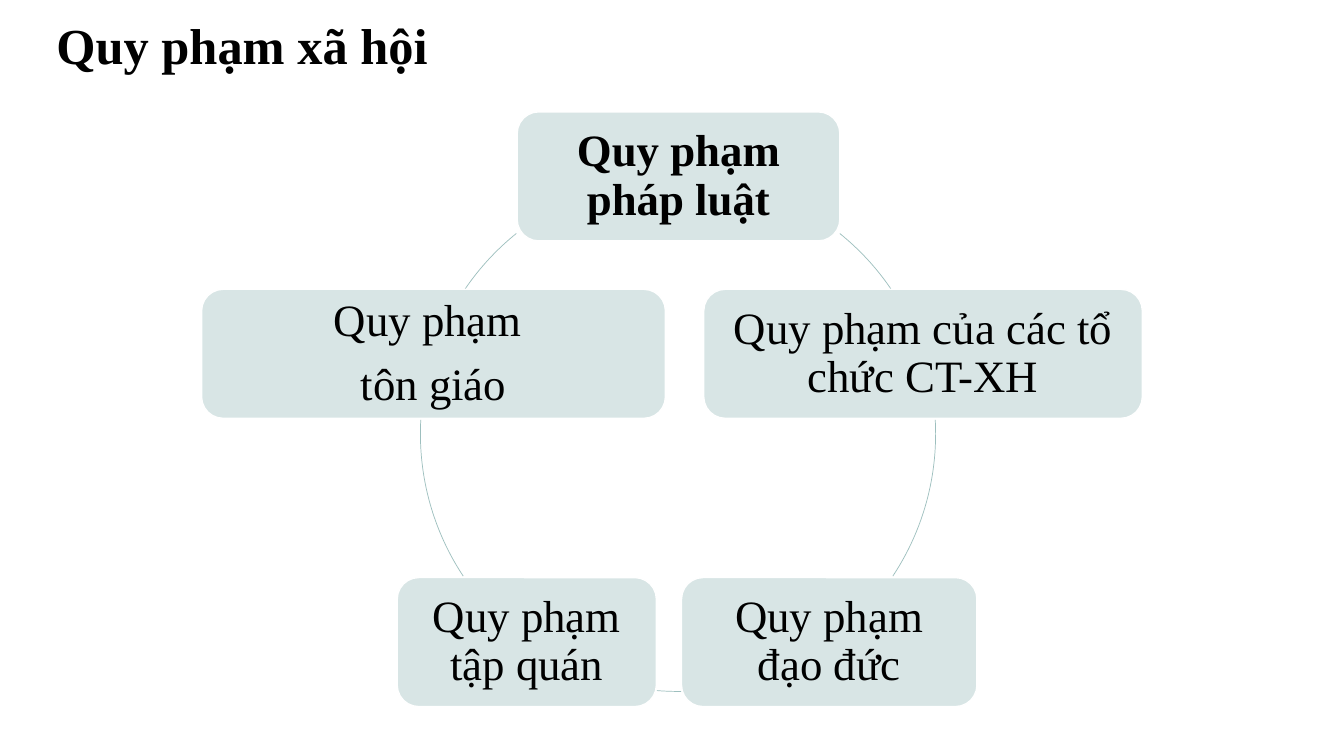
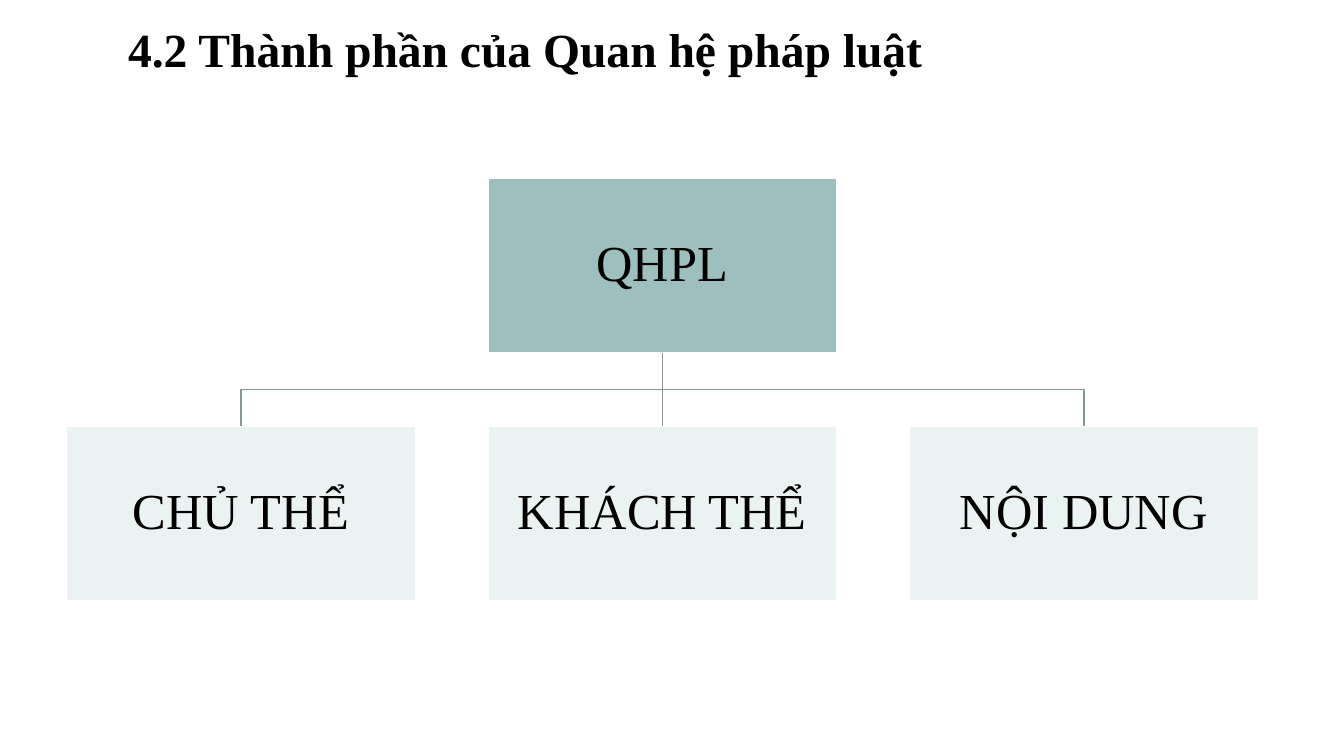
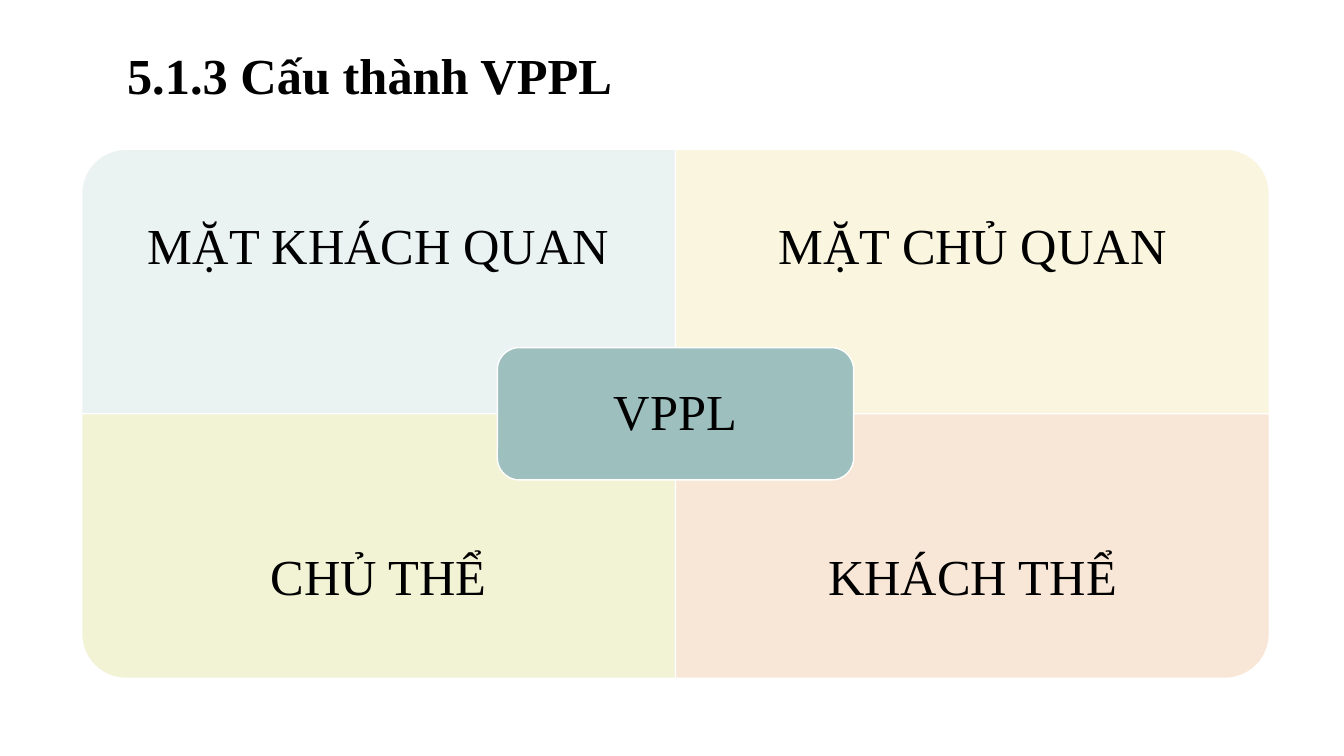
import pptx
import pptx.dml.color
import pptx.enum.shapes
import pptx.enum.text
import pptx.oxml.ns
import pptx.util
from lxml import etree

Inches = pptx.util.Inches
Pt = pptx.util.Pt
Shape = pptx.enum.shapes.MSO_SHAPE
Connector = pptx.enum.shapes.MSO_CONNECTOR
Align = pptx.enum.text.PP_ALIGN
Anchor = pptx.enum.text.MSO_ANCHOR

FONT = "Times New Roman"
BLACK = "000000"
WHITE = "FFFFFF"
TEAL = "9DBFBE"
PALE_TEAL = "EBF2F2"
NORM_FILL = "D8E5E5"
TREE_LINE = "7E9998"
LINE_SPACING = 0.9
SPACE_AFTER = 0.35


def color(value):
    return pptx.dml.color.RGBColor.from_string(value)


def apply(target, values):
    for name, value in values.items():
        setattr(target, name, value)


def place(box):
    return [Inches(value) for value in box]


def move(shape, box):
    apply(shape, dict(zip(("left", "top", "width", "height"), place(box))))


def paint(shape, fill):
    shape.fill.solid()
    shape.fill.fore_color.rgb = color(fill)


def write(shape, lines, size, bold=False, align=Align.CENTER, inset=None):
    frame = shape.text_frame
    apply(frame, {
        "word_wrap": True,
        "auto_size": pptx.enum.text.MSO_AUTO_SIZE.NONE,
        "vertical_anchor": Anchor.MIDDLE,
    })
    if inset is not None:
        sides = ("left", "top", "right", "bottom")
        apply(frame, {f"margin_{side}": Inches(inset) for side in sides})
    for index, line in enumerate(lines):
        paragraph = frame.add_paragraph() if index else frame.paragraphs[0]
        apply(paragraph, {
            "alignment": align,
            "line_spacing": LINE_SPACING,
            "space_before": Pt(0),
            "space_after": Pt(size * SPACE_AFTER if len(lines) > 1 else 0),
        })
        run = paragraph.add_run()
        run.text = line
        apply(run.font, {"name": FONT, "size": Pt(size), "bold": bold})
        run.font.color.rgb = color(BLACK)


def add_titled_slide(presentation, text, box, size=36, align=Align.LEFT):
    slide = presentation.slides.add_slide(presentation.slide_layouts[5])
    title = slide.shapes.title
    move(title, box)
    write(title, [text], size, bold=True, align=align)
    return slide


def add_block(slide, kind, box, fill):
    shape = slide.shapes.add_shape(kind, *place(box))
    shape.shadow.inherit = False
    paint(shape, fill)
    shape.line.color.rgb = color(WHITE)
    shape.line.width = Pt(1)
    return shape


def add_branch(slide, parent, child, start, end):
    across, down = end[0] - start[0], end[1] - start[1]
    straight = abs(across) < 0.01
    kind = Connector.STRAIGHT if straight else Connector.ELBOW
    connector = slide.shapes.add_connector(kind, *place(start + end))
    connector.begin_connect(parent, 2)
    connector.end_connect(child, 0)
    connector.line.color.rgb = color(TREE_LINE)
    connector.line.width = Pt(1)
    properties = connector._element.spPr
    etree.SubElement(properties, pptx.oxml.ns.qn("a:effectLst"))
    if not straight:
        center_x, center_y = start[0] + across / 2, start[1] + down / 2
        move(connector, (center_x - down / 2, center_y - abs(across) / 2,
                         down, abs(across)))
        rightward = across > 0
        properties.xfrm.set("rot", "16200000" if rightward else "5400000")
        properties.xfrm.set("flipH", "1" if rightward else "0")


def add_ring(slide, box, spans):
    for span in spans:
        arc = slide.shapes.add_shape(Shape.ARC, *place(box))
        arc.shadow.inherit = False
        arc.fill.background()
        arc.line.color.rgb = color(TEAL)
        arc.line.width = Pt(0.5)
        for index, degrees in enumerate(span):
            arc.adjustments[index] = degrees * 0.6


def add_norm_cycle(slide, box):
    left, top = box[:2]
    height = 1.28
    add_ring(slide, (left + 2.17, top + 0.64, 5.11, 5.11), [
        (308.9, 325.7), (356.9, 33.5), (89.3, 94.7),
        (146.5, 183.1), (214.3, 231.1),
    ])
    norms = [
        (3.13, 0, 3.2, ["Quy phạm pháp luật"], True),
        (4.98, 1.76, 4.35, ["Quy phạm của các tổ chức CT-XH"], False),
        (4.76, 4.62, 2.93, ["Quy phạm đạo đức"], False),
        (1.94, 4.62, 2.57, ["Quy phạm tập quán"], False),
        (0, 1.76, 4.6, ["Quy phạm ", "tôn giáo"], False),
    ]
    for x, y, width, lines, bold in norms:
        norm = add_block(slide, Shape.ROUNDED_RECTANGLE,
                         (left + x, top + y, width, height), NORM_FILL)
        write(norm, lines, 32, bold=bold, inset=0.19)


def add_tree(slide, box, root_text, child_texts):
    left, top, width, height = box
    block_width, block_height = 3.46, 1.73
    pitch = (width - block_width) / (len(child_texts) - 1)
    child_top = top + height - block_height
    center = left + width / 2

    root = add_block(slide, Shape.RECTANGLE,
                     (center - block_width / 2, top, block_width, block_height), TEAL)
    write(root, [root_text], 36, inset=0.03)
    for index, text in enumerate(child_texts):
        x = left + index * pitch
        child = add_block(slide, Shape.RECTANGLE,
                          (x, child_top, block_width, block_height), PALE_TEAL)
        write(child, [text], 36, inset=0.03)
        add_branch(slide, root, child, (center, top + block_height),
                   (x + block_width / 2, child_top))


def add_matrix(slide, box, quadrants, hub_text):
    left, top, width, height = box
    cell_width, cell_height = width / 2, height / 2
    label_height = cell_height * 0.75
    for index, (text, fill, rotation) in enumerate(quadrants):
        row, column = divmod(index, 2)
        x, y = left + column * cell_width, top + row * cell_height
        turned = rotation % 180 != 0
        w, h = (cell_height, cell_width) if turned else (cell_width, cell_height)
        quadrant = add_block(
            slide, Shape.ROUND_1_RECTANGLE,
            (x + (cell_width - w) / 2, y + (cell_height - h) / 2, w, h), fill)
        quadrant.rotation = rotation
        label_top = y + row * (cell_height - label_height)
        label = slide.shapes.add_textbox(
            *place((x, label_top, cell_width, label_height)))
        write(label, [text], 36, inset=0.28)

    hub_width, hub_height = cell_width * 0.6, cell_height / 2
    hub = add_block(slide, Shape.ROUNDED_RECTANGLE,
                    (left + (width - hub_width) / 2, top + (height - hub_height) / 2,
                     hub_width, hub_height), TEAL)
    write(hub, [hub_text], 36, inset=0.21)


def main():
    presentation = pptx.Presentation()
    apply(presentation, {"slide_width": Inches(13.33), "slide_height": Inches(7.5)})

    slide = add_titled_slide(presentation, "Quy phạm xã hội", (0.46, 0.18, 12.4, 0.6))
    add_norm_cycle(slide, (2, 1.11, 9.33, 5.9))

    slide = add_titled_slide(presentation, "4.2 Thành phần của Quan hệ pháp luật",
                             (1.17, 0.19, 11, 0.65), size=34, align=Align.JUSTIFY)
    add_tree(slide, (0.66, 1.77, 11.82, 4.19), "QHPL",
             ["CHỦ THỂ", "KHÁCH THỂ", "NỘI DUNG"])

    slide = add_titled_slide(presentation, "5.1.3 Cấu thành VPPL", (1.16, 0.38, 11, 0.79))
    paint(slide.shapes.title, WHITE)
    add_matrix(slide, (0.81, 1.48, 11.78, 5.25), [
        ("MẶT KHÁCH QUAN", PALE_TEAL, 270),
        ("MẶT CHỦ QUAN", "F9F5DE", 0),
        ("CHỦ THỂ", "F2F2D4", 180),
        ("KHÁCH THỂ", "F8E7D6", 90),
    ], "VPPL")

    presentation.save("out.pptx")


if __name__ == "__main__":
    main()
